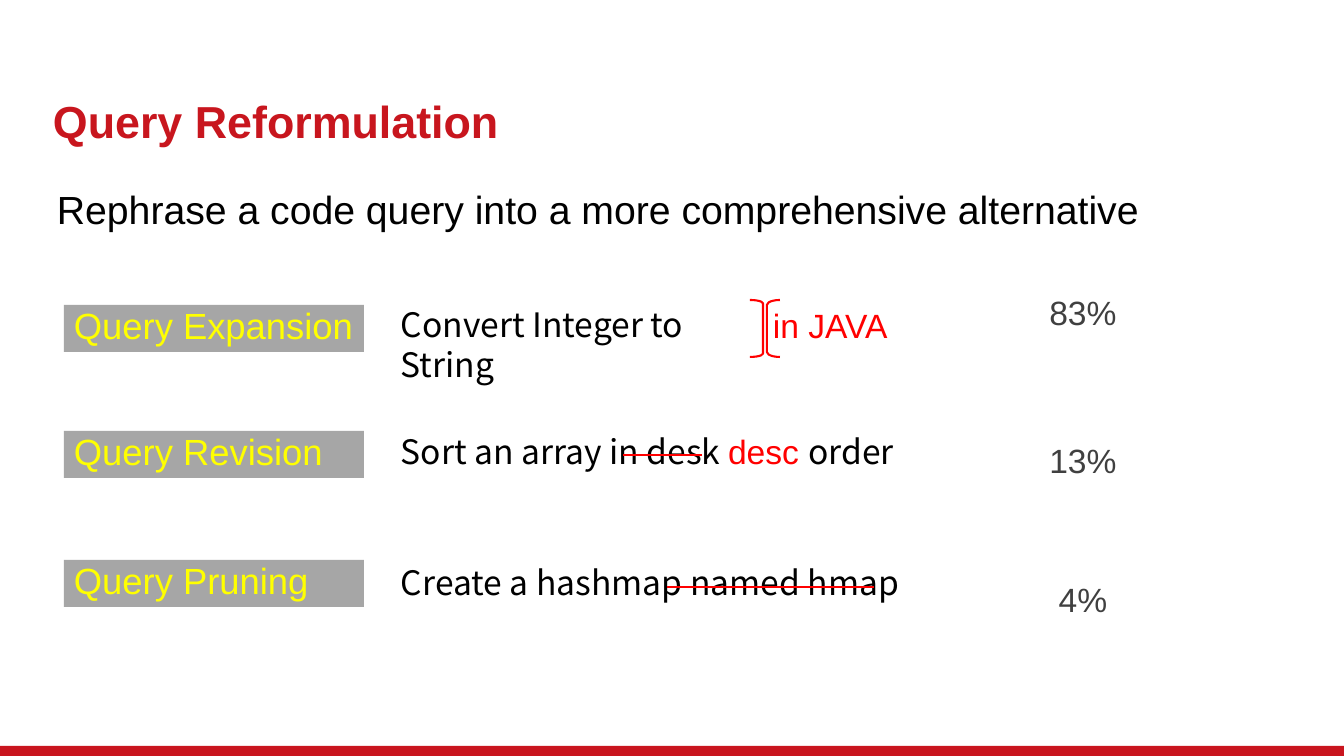
from dataclasses import dataclass

from pptx import Presentation
from pptx.dml.color import RGBColor
from pptx.enum.shapes import MSO_CONNECTOR, MSO_SHAPE
from pptx.enum.text import MSO_ANCHOR, MSO_AUTO_SIZE, PP_ALIGN
from pptx.oxml import parse_xml
from pptx.oxml.ns import nsdecls
from pptx.shapes.autoshape import Shape
from pptx.slide import Slide
from pptx.util import Emu, Pt

SCALE = 12192000 / 1344


@dataclass(frozen=True)
class Theme:
    band: str = "C9151E"
    title: str = "C8161E"
    label_fill: str = "A6A6A6"
    label: str = "FFFF00"
    ink: str = "000000"
    mark: str = "FF0000"
    share: str = "404040"
    title_size: int = 32
    intro_size: int = 28
    label_size: int = 26
    body_size: int = 24
    sans: str = "Arial"
    query: str = "Noto Sans CJK SC"


THEME = Theme()


@dataclass(frozen=True)
class Box:
    left: int
    top: int
    width: int
    height: int


@dataclass(frozen=True)
class Span:
    text: str
    color: str = THEME.ink
    size: int = THEME.body_size
    font: str = THEME.sans
    bold: bool = False


@dataclass(frozen=True)
class Strike:
    left: int
    right: int
    y: int


@dataclass(frozen=True)
class Bracket:
    kind: MSO_SHAPE
    left: int
    bend: float


@dataclass(frozen=True)
class Technique:
    name: str
    label_top: int
    query_top: int
    query_width: int
    query: tuple[Span, ...]
    share: str
    share_top: int
    strike: Strike | None = None


def query_span(text: str) -> Span:
    return Span(text, font=THEME.query)


TECHNIQUES = (
    Technique("Query Expansion", 305, 299, 394,
              (query_span("Convert Integer to String"),), "83%", 283),
    Technique("Query Revision", 431, 426, 672,
              (query_span("Sort an array in desk "), Span("desc ", THEME.mark),
               query_span("order")), "13%", 431, Strike(623, 702, 455)),
    Technique("Query Pruning", 560, 557, 575,
              (query_span("Create a hashmap named hmap"),), "4%", 570,
              Strike(667, 874, 587)),
)
BRACKETS = (Bracket(MSO_SHAPE.RIGHT_BRACKET, 750, 0.26),
            Bracket(MSO_SHAPE.LEFT_BRACKET, 767, 0.37))


def px(length: int) -> Emu:
    return Emu(round(length * SCALE))


def place(box: Box) -> tuple[Emu, ...]:
    return tuple(map(px, (box.left, box.top, box.width, box.height)))


def write(shape: Shape, spans: tuple[Span, ...], **para_format) -> None:
    """Fill a shape with one paragraph made of the given spans."""
    frame = shape.text_frame
    frame.word_wrap = True
    frame.auto_size = MSO_AUTO_SIZE.SHAPE_TO_FIT_TEXT
    para = frame.paragraphs[0]
    for name, value in ({"alignment": PP_ALIGN.LEFT} | para_format).items():
        setattr(para, name, value)
    for span in spans:
        run = para.add_run()
        run.text = span.text
        values = {"name": span.font, "size": Pt(span.size), "bold": span.bold}
        for name, value in values.items():
            setattr(run.font, name, value)
        run.font.color.rgb = RGBColor.from_string(span.color)


def add_text(page: Slide, box: Box, *spans: Span, **para_format) -> Shape:
    shape = page.shapes.add_textbox(*place(box))
    write(shape, spans, **para_format)
    return shape


def add_block(page: Slide, box: Box, color: str) -> Shape:
    block = page.shapes.add_shape(MSO_SHAPE.RECTANGLE, *place(box))
    block.shadow.inherit = False
    block.fill.solid()
    block.fill.fore_color.rgb = RGBColor.from_string(color)
    block.line.fill.background()
    return block


def add_strike(page: Slide, strike: Strike) -> None:
    line = page.shapes.add_connector(
        MSO_CONNECTOR.STRAIGHT, px(strike.left), px(strike.y), px(strike.right), px(strike.y))
    line.line.color.rgb = RGBColor.from_string(THEME.mark)
    line.line.width = Pt(2)
    properties = line._element.spPr
    properties.append(parse_xml(f"<a:effectLst {nsdecls('a')}/>"))


def add_bracket(page: Slide, bracket: Bracket) -> None:
    shape = page.shapes.add_shape(bracket.kind, *place(Box(bracket.left, 300, 13, 57)))
    shape.shadow.inherit = False
    shape.adjustments[0] = bracket.bend
    shape.fill.background()
    shape.line.color.rgb = RGBColor.from_string(THEME.mark)
    shape.line.width = Pt(1.5)


def add_technique(page: Slide, item: Technique) -> None:
    label = add_block(page, Box(64, item.label_top, 300, 47), THEME.label_fill)
    write(label, (Span(item.name, THEME.label, THEME.label_size),),
          line_spacing=Pt(THEME.label_size))
    add_text(page, Box(391, item.query_top, item.query_width, 50), *item.query)
    add_text(page, Box(1032, item.share_top, 102, 51), Span(item.share, THEME.share),
             alignment=PP_ALIGN.CENTER, line_spacing=1.1, space_after=Pt(6))
    if item.strike:
        add_strike(page, item.strike)


def main() -> None:
    deck = Presentation()
    deck.slide_width, deck.slide_height = px(1344), px(756)
    page = deck.slides.add_slide(deck.slide_layouts[6])
    add_block(page, Box(0, 746, 1344, 10), THEME.band)
    title = add_text(page, Box(43, 92, 1231, 64),
                     Span("Query Reformulation", THEME.title, THEME.title_size, bold=True),
                     line_spacing=0.9)
    title.text_frame.auto_size = MSO_AUTO_SIZE.NONE
    title.text_frame.vertical_anchor = MSO_ANCHOR.MIDDLE
    add_text(page, Box(47, 180, 1151, 57),
             Span("Rephrase a code query into a more comprehensive alternative",
                  size=THEME.intro_size))
    for item in TECHNIQUES:
        add_technique(page, item)
    add_text(page, Box(763, 300, 226, 50), Span("in JAVA", THEME.mark))
    for bracket in BRACKETS:
        add_bracket(page, bracket)
    deck.save("out.pptx")


if __name__ == "__main__":
    main()
